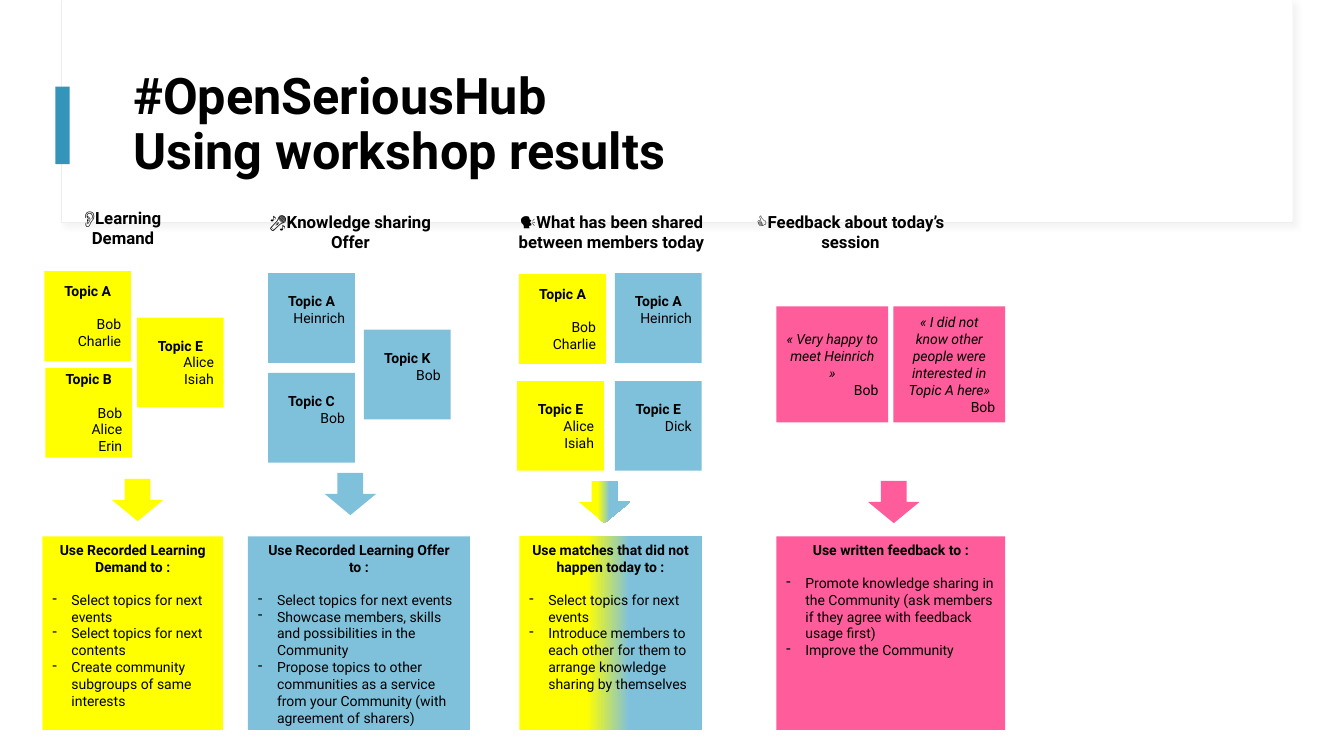
"""Build the workshop results slide."""
import copy
import dataclasses
import typing

import lxml.etree
import pptx
import pptx.dml.color
import pptx.enum.shapes
import pptx.enum.text
import pptx.oxml
import pptx.oxml.ns
import pptx.shapes.autoshape
import pptx.slide
import pptx.text.text
import pptx.util

Inches = pptx.util.Inches
Align = pptx.enum.text.PP_ALIGN
Anchor = pptx.enum.text.MSO_ANCHOR
Preset = pptx.enum.shapes.MSO_SHAPE
Paint = typing.Union[str, typing.Tuple[typing.Tuple[float, str], ...]]


@dataclasses.dataclass(frozen=True)
class Theme:
    font: str = "Roboto"
    ink: str = "000000"
    paper: str = "FFFFFF"
    frame: str = "EBEEF2"
    shade: str = "D9D9D9"
    accent: str = "3494BA"
    demand: str = "FFFF00"
    offer: str = "7FC1DB"
    feedback: str = "FE5C9A"
    title_size: float = 36
    heading_size: float = 12
    body_size: float = 10
    blank_line: float = 11.7


THEME = Theme()
MATCH: Paint = ((0, THEME.demand), (0.37, THEME.demand), (0.6, THEME.offer), (1, THEME.offer))


@dataclasses.dataclass(frozen=True)
class Area:
    left: float
    top: float
    width: float
    height: float


@dataclasses.dataclass(frozen=True)
class Note:
    left: float
    top: float
    paint: str
    heading: str
    names: typing.Tuple[str, ...]
    gap: bool = False


@dataclasses.dataclass(frozen=True)
class Column:
    heading: str
    heading_area: Area
    notes: typing.Tuple[Note, ...]
    arrow_left: float
    arrow_top: float
    panel_left: float
    panel_width: float
    paint: Paint
    use: str
    actions: typing.Tuple[str, ...]


COLUMNS = (
    Column("👂Learning Demand", Area(0.48, 2.01, 1.48, 0.5), (
        Note(0.44, 2.69, THEME.demand, "Topic A", ("Bob", "Charlie"), True),
        Note(0.45, 3.65, THEME.demand, "Topic B", ("Bob", "Alice", "Erin"), True),
        Note(1.36, 3.15, THEME.demand, "Topic E", ("Alice", "Isiah")),
    ), 1.11, 4.75, 0.42, 1.79, THEME.demand, "Use Recorded Learning Demand to :", (
        "Select topics for next events",
        "Select topics for next contents",
        "Create community subgroups of same interests",
    )),
    Column("🎤Knowledge sharing Offer", Area(2.55, 2.05, 1.85, 0.5), (
        Note(2.66, 2.71, THEME.offer, "Topic A", ("Heinrich",)),
        Note(2.66, 3.7, THEME.offer, "Topic C", ("Bob",)),
        Note(3.61, 3.27, THEME.offer, "Topic K", ("Bob",)),
    ), 3.22, 4.69, 2.46, 2.2, THEME.offer, "Use Recorded Learning Offer to :", (
        "Select topics for next events",
        "Showcase members, skills and possibilities in the Community",
        "Propose topics to other communities as a service from your Community "
        "(with agreement of sharers)",
    )),
    Column("🗣️What has been shared between members today", Area(4.94, 2.05, 2.25, 0.5), (
        Note(5.15, 2.72, THEME.demand, "Topic A", ("Bob", "Charlie"), True),
        Note(6.1, 2.71, THEME.offer, "Topic A", ("Heinrich",)),
        Note(5.13, 3.78, THEME.demand, "Topic E", ("Alice", "Isiah")),
        Note(6.1, 3.78, THEME.offer, "Topic E", ("Dick",)),
    ), 5.74, 4.77, 5.15, 1.81, MATCH, "Use matches that did not happen today to :", (
        "Select topics for next events",
        "Introduce members to each other for them to arrange knowledge sharing by themselves",
    )),
    Column("👍Feedback about today’s session", Area(7.31, 2.05, 2.25, 0.5), (
        Note(7.7, 3.04, THEME.feedback, "« Very happy to meet Heinrich »", ("Bob",)),
        Note(8.86, 3.04, THEME.feedback,
             "« I did not know other people were interested in Topic A here»", ("Bob",)),
    ), 8.61, 4.77, 7.7, 2.27, THEME.feedback, "Use written feedback to :", (
        "Promote knowledge sharing in the Community (ask members if they agree "
        "with feedback usage first)",
        "Improve the Community",
    )),
)


def rgb(value: str) -> pptx.dml.color.RGBColor:
    return pptx.dml.color.RGBColor.from_string(value)


def lengths(area: Area) -> typing.List[int]:
    return [Inches(value) for value in dataclasses.astuple(area)]


def add_box(page: pptx.slide.Slide, area: Area, paint: Paint,
            preset: Preset = Preset.RECTANGLE) -> pptx.shapes.autoshape.Shape:
    box = page.shapes.add_shape(preset, *lengths(area))
    box.shadow.inherit = False
    box.line.fill.background()
    if isinstance(paint, str):
        box.fill.solid()
        box.fill.fore_color.rgb = rgb(paint)
        return box
    box.fill.gradient()
    box.fill.gradient_angle = 0
    stop_list = next(box.element.iter(pptx.oxml.ns.qn("a:gsLst")))
    while len(stop_list) < len(paint):
        stop_list.append(copy.deepcopy(stop_list[0]))
    for stop, (position, color) in zip(box.fill.gradient_stops, paint):
        stop.position = position
        stop.color.rgb = rgb(color)
    return box


def write(frame: pptx.text.text.TextFrame, text: str, align: Align, size: float = THEME.body_size,
          bold: bool = False, italic: bool = False, gap: bool = False, bullet: bool = False) -> None:
    para = frame.paragraphs[0]
    if para.runs:
        para = frame.add_paragraph()
    para.text = text
    para.alignment = align
    if bullet:
        properties = para._p.get_or_add_pPr()
        properties.set("marL", str(Inches(0.19)))
        properties.set("indent", str(-Inches(0.19)))
        mark = lxml.etree.SubElement(properties, pptx.oxml.ns.qn("a:buChar"))
        mark.set("char", "-")
    if gap:
        para.space_before = pptx.util.Pt(THEME.blank_line)
    para.font.name = THEME.font
    para.font.size = pptx.util.Pt(size)
    para.font.bold = bold
    para.font.italic = italic
    para.font.color.rgb = rgb(THEME.ink)


def add_note(page: pptx.slide.Slide, note: Note) -> None:
    quote = note.paint == THEME.feedback
    width, height = (1.11, 1.15) if quote else (0.86, 0.89)
    frame = add_box(page, Area(note.left, note.top, width, height), note.paint).text_frame
    frame.vertical_anchor = Anchor.MIDDLE
    if note.paint == THEME.offer:
        frame.margin_bottom = Inches(0.05) + pptx.util.Pt(THEME.blank_line)
    write(frame, note.heading, Align.CENTER, bold=not quote, italic=quote)
    for index, name in enumerate(note.names):
        write(frame, name, Align.RIGHT, gap=note.gap and index == 0)


def add_column(page: pptx.slide.Slide, column: Column) -> None:
    heading = page.shapes.add_textbox(*lengths(column.heading_area)).text_frame
    heading.word_wrap = True
    write(heading, column.heading, Align.CENTER, THEME.heading_size, bold=True)
    for note in column.notes:
        add_note(page, note)
    panel = add_box(page, Area(column.panel_left, 5.32, column.panel_width, 1.92), column.paint)
    panel.text_frame.vertical_anchor = Anchor.TOP
    write(panel.text_frame, column.use, Align.CENTER, bold=True)
    for index, action in enumerate(column.actions):
        write(panel.text_frame, action, Align.LEFT, gap=index == 0, bullet=True)
    add_box(page, Area(column.arrow_left, column.arrow_top, 0.51, 0.42), column.paint, Preset.DOWN_ARROW)


def add_header(page: pptx.slide.Slide) -> None:
    border = add_box(page, Area(0.61, 0, 12.21, 2.21), THEME.paper)
    border.line.color.rgb = rgb(THEME.frame)
    border.line.width = pptx.util.Pt(0.75)
    effects = next(border.element.iter(pptx.oxml.ns.qn("a:effectLst")))
    effects.append(pptx.oxml.parse_xml(
        f'<a:outerShdw {pptx.oxml.ns.nsdecls("a")} blurRad="50800" dist="38100" dir="2700000">'
        f'<a:srgbClr val="{THEME.shade}"><a:alpha val="30000"/></a:srgbClr></a:outerShdw>'))
    add_box(page, Area(0.62, 0, 12.2, 2.2), THEME.paper)
    add_box(page, Area(0.55, 0.86, 0.14, 0.77), THEME.accent)
    title = page.shapes.title
    title.left, title.top, title.width, title.height = lengths(Area(1.22, 0.6, 11.12, 1.29))
    title.text_frame.auto_size = pptx.enum.text.MSO_AUTO_SIZE.NONE
    title.text_frame.vertical_anchor = Anchor.MIDDLE
    write(title.text_frame, "#OpenSeriousHub\vUsing workshop results", Align.LEFT,
          THEME.title_size, bold=True)
    title.text_frame.paragraphs[0].line_spacing = 0.9
    title.element.getparent().append(title.element)


def main() -> None:
    deck = pptx.Presentation()
    deck.slide_width, deck.slide_height = Inches(13.33), Inches(7.5)
    page = deck.slides.add_slide(deck.slide_layouts[5])
    add_header(page)
    for column in COLUMNS:
        add_column(page, column)
    deck.save("out.pptx")


if __name__ == "__main__":
    main()
